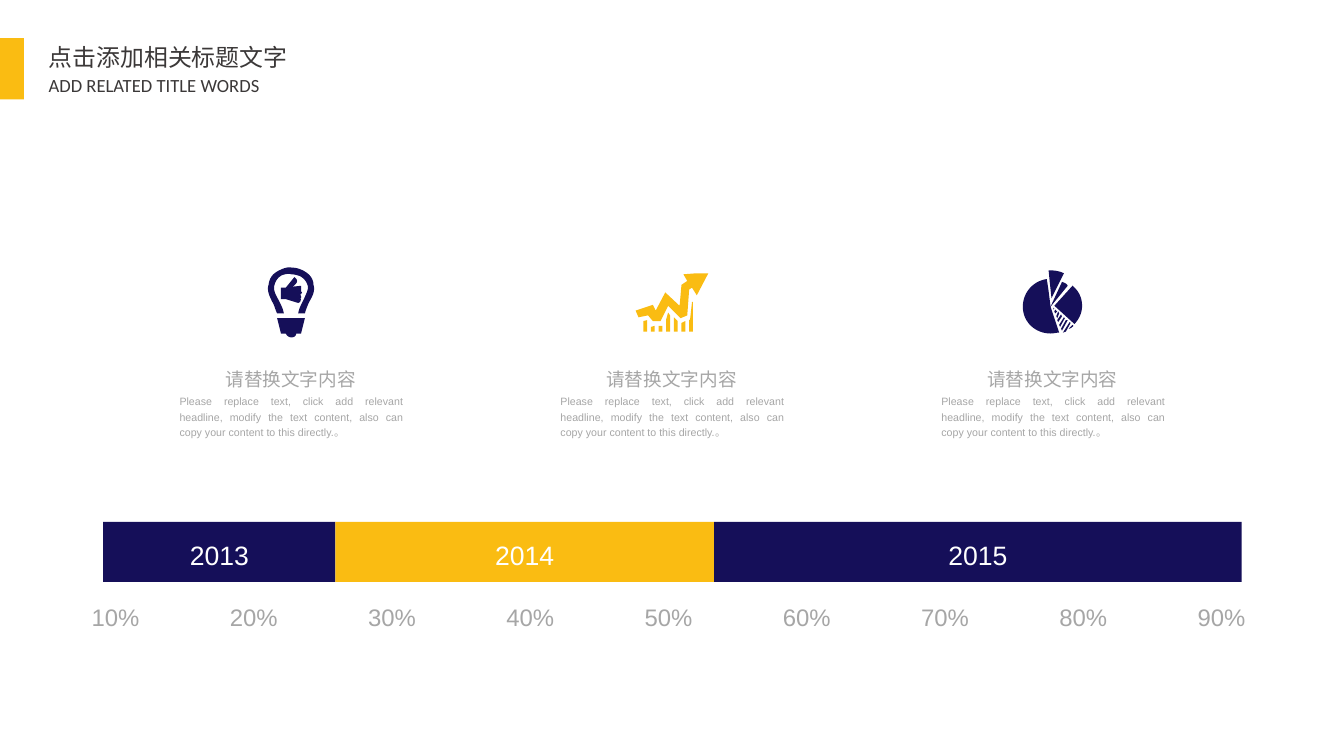
from lxml import etree
from pptx import Presentation
from pptx.dml.color import RGBColor
from pptx.enum.shapes import MSO_SHAPE
from pptx.enum.text import MSO_ANCHOR, MSO_AUTO_SIZE, PP_ALIGN
from pptx.oxml.ns import qn
from pptx.util import Inches, Pt

NAVY = RGBColor(0x15, 0x0F, 0x59)
YELLOW = RGBColor(0xFA, 0xBC, 0x12)
GRAY = RGBColor(0xA6, 0xA6, 0xA6)
DARK = RGBColor(0x3B, 0x38, 0x38)
WHITE = RGBColor(0xFF, 0xFF, 0xFF)
CJK_FONT = "Noto Sans CJK SC"
CURVE_STEPS = 12

HEADING = "请替换文字内容"
BODY = ("Please replace text, click add relevant headline, modify the text "
        "content, also can copy your content to this directly.。")

# Icon outlines in inches: a pair is a corner, six numbers are a Bézier curve.
PIE_SLICES = [
    [(11.22, 2.99), (11.28, 3.04, 11.32, 3.11, 11.32, 3.2),
     (11.32, 3.27, 11.29, 3.34, 11.24, 3.39), (11.03, 3.2)],
    [(11.11, 2.95), (10.99, 3.21), (10.99, 3.21, 10.97, 3.03, 10.95, 2.92),
     (10.81, 2.94, 10.7, 3.06, 10.7, 3.21), (10.7, 3.37, 10.83, 3.49, 10.99, 3.49),
     (11.02, 3.49, 11.06, 3.48, 11.08, 3.48), (10.99, 3.21), (11.17, 2.99),
     (11.16, 2.97, 11.14, 2.96, 11.11, 2.95)],
    [(11, 2.83), (10.97, 2.83), (10.98, 2.94, 11, 3.12, 11, 3.12), (11.13, 2.86),
     (11.09, 2.84, 11.04, 2.83, 11, 2.83)],
]
PIE_HATCH = [
    [(11.23, 3.41), (11.22, 3.42, 11.2, 3.44, 11.18, 3.44), (11.22, 3.4)],
    [(11.15, 3.47), (11.2, 3.38), (11.19, 3.37), (11.12, 3.48)],
    [(11.11, 3.46), (11.17, 3.35), (11.15, 3.35), (11.1, 3.44)],
    [(11.09, 3.42), (11.14, 3.33), (11.13, 3.32), (11.08, 3.4)],
    [(11.07, 3.37), (11.11, 3.31), (11.1, 3.29), (11.06, 3.35)],
    [(11.06, 3.33), (11.08, 3.28), (11.07, 3.26), (11.05, 3.31)],
    [(11.04, 3.28), (11.06, 3.26), (11.04, 3.24), (11.03, 3.26)],
    [(11.02, 3.24), (11.02, 3.22), (11.03, 3.23)],
]
GROWTH_ARROW = [
    (7.41, 2.86), (7.29, 3.09), (7.24, 3.01), (7.21, 3.03), (7.19, 3.3),
    (7.12, 3.33), (6.99, 3.2), (6.91, 3.36), (6.83, 3.36), (6.78, 3.3),
    (6.68, 3.32), (6.65, 3.25), (6.83, 3.19), (6.86, 3.25), (6.96, 3.06),
    (7.11, 3.2), (7.13, 2.98), (7.19, 2.94), (7.15, 2.87), (7.28, 2.86),
]
# Tops of the growth bars, from left to right of each bar
GROWTH_BAR_TOPS = [
    [(6.73, 3.36), (6.77, 3.35)],
    [(6.81, 3.42), (6.85, 3.41)],
    [(6.89, 3.41), (6.93, 3.41)],
    [(6.97, 3.34), (6.99, 3.27), (7.01, 3.3)],
    [(7.05, 3.32), (7.09, 3.36)],
    [(7.13, 3.38), (7.17, 3.36)],
    [(7.21, 3.35), (7.22, 3.34), (7.24, 3.16), (7.25, 3.16)],
]
GROWTH_BASE = 3.47
BULB = [
    [(2.9, 3.33), (3.19, 3.33), (3.15, 3.49), (3.1, 3.49),
     (3.1, 3.51, 3.08, 3.53, 3.05, 3.53), (3.02, 3.53, 3, 3.51, 2.99, 3.49),
     (2.94, 3.49)],
    [(2.9, 3.28), (2.97, 3.28), (2.96, 3.22, 2.93, 3.17, 2.91, 3.13),
     (2.88, 3.08, 2.86, 3.03, 2.87, 2.99), (2.88, 2.94, 2.91, 2.9, 2.95, 2.88),
     (2.98, 2.87, 3.01, 2.86, 3.05, 2.87), (3.08, 2.87, 3.11, 2.88, 3.14, 2.89),
     (3.18, 2.91, 3.21, 2.95, 3.22, 2.99), (3.23, 3.03, 3.2, 3.08, 3.18, 3.13),
     (3.16, 3.17, 3.13, 3.22, 3.12, 3.28), (3.19, 3.28),
     (3.2, 3.24, 3.22, 3.19, 3.24, 3.15), (3.27, 3.1, 3.3, 3.04, 3.28, 2.98),
     (3.28, 2.91, 3.23, 2.86, 3.17, 2.83), (3.13, 2.81, 3.09, 2.8, 3.05, 2.8),
     (3.01, 2.79, 2.96, 2.81, 2.92, 2.83), (2.86, 2.86, 2.82, 2.9, 2.81, 2.98),
     (2.79, 3.04, 2.82, 3.1, 2.85, 3.16), (2.87, 3.19, 2.88, 3.24, 2.9, 3.28)],
]
THUMB = [
    (3.15, 2.99), (3.15, 3.05), (3.16, 3.06), (3.15, 3.08), (3.14, 3.08),
    (3.15, 3.1), (3.15, 3.12), (3.14, 3.13), (3.15, 3.13), (3.14, 3.16),
    (3.12, 3.17), (2.99, 3.13), (2.94, 3.13), (2.94, 3.01), (2.99, 3.01),
    (3.08, 2.9), (3.14, 2.94, 3.09, 2.98, 3.06, 3),
]


def flatten(outline):
    """Turn an outline of corners and Bézier curves into a list of points."""
    points = []
    for item in outline:
        if len(item) == 2:
            points.append(item)
            continue
        controls = [points[-1], item[:2], item[2:4], item[4:]]
        for step in range(1, CURVE_STEPS + 1):
            t = step / CURVE_STEPS
            weights = ((1 - t) ** 3, 3 * t * (1 - t) ** 2, 3 * t * t * (1 - t), t ** 3)
            points.append(tuple(sum(w * c[axis] for w, c in zip(weights, controls))
                                for axis in (0, 1)))
    return [(Inches(x), Inches(y)) for x, y in points]


def paint(sp, color):
    sp.shadow.inherit = False
    sp.fill.solid()
    sp.fill.fore_color.rgb = color
    sp.line.fill.background()


def add_icon(slide, outlines, color):
    contours = [flatten(outline) for outline in outlines]
    builder = slide.shapes.build_freeform(*contours[0][0])
    for i, contour in enumerate(contours):
        if i:
            builder.move_to(*contour[0])
        builder.add_line_segments(contour[1:], close=True)
    paint(builder.convert_to_shape(), color)


def add_rect(slide, left, top, width, height, color):
    sp = slide.shapes.add_shape(MSO_SHAPE.RECTANGLE, Inches(left), Inches(top),
                                Inches(width), Inches(height))
    paint(sp, color)
    return sp


def write(sp, text, size, color=GRAY, font="Arial", align=PP_ALIGN.JUSTIFY, spacing=1.2):
    p = sp.text_frame.paragraphs[0]
    p.alignment = align
    p.line_spacing = spacing
    r = p.add_run()
    r.text = text
    r.font.size = Pt(size)
    r.font.name = font
    r.font.color.rgb = color
    etree.SubElement(r.font._element, qn("a:ea")).set("typeface", CJK_FONT)


def add_text(slide, left, top, width, height, text, size, wrap=False, **text_format):
    sp = slide.shapes.add_textbox(Inches(left), Inches(top), Inches(width), Inches(height))
    sp.text_frame.word_wrap = wrap
    sp.text_frame.auto_size = MSO_AUTO_SIZE.SHAPE_TO_FIT_TEXT
    write(sp, text, size, **text_format)


def add_year_bar(slide, left, width, year, color):
    sp = add_rect(slide, left, 5.46, width, 0.63, color)
    sp.text_frame.vertical_anchor = MSO_ANCHOR.MIDDLE
    write(sp, year, 20, color=WHITE, align=PP_ALIGN.CENTER)


def main():
    prs = Presentation()
    prs.slide_width, prs.slide_height = Inches(14.06), Inches(7.91)
    slide = prs.slides.add_slide(prs.slide_layouts[6])

    add_rect(slide, 0, 0.4, 0.25, 0.64, YELLOW)
    title_format = dict(color=DARK, align=PP_ALIGN.LEFT, spacing=1.0)
    add_text(slide, 0.41, 0.4, 2.74, 0.41, "点击添加相关标题文字", 18,
             font=CJK_FONT, **title_format)
    add_text(slide, 0.41, 0.72, 2.44, 0.34, "ADD RELATED TITLE WORDS", 14,
             font="Calibri", **title_format)

    for i in range(9):
        add_text(slide, 0.86 + i * 11.57 / 8, 6.2, 0.71, 0.43, f"{10 * (i + 1)}%", 18)

    left = 1.08
    for year, width, color in (("2013", 2.43, NAVY), ("2014", 3.96, YELLOW),
                               ("2015", 5.52, NAVY)):
        add_year_bar(slide, left, width, year, color)
        left += width

    growth_bars = [top + [(top[-1][0], GROWTH_BASE), (top[0][0], GROWTH_BASE)]
                   for top in GROWTH_BAR_TOPS]
    add_icon(slide, BULB + [THUMB], NAVY)
    add_icon(slide, [GROWTH_ARROW] + growth_bars, YELLOW)
    add_icon(slide, PIE_SLICES + PIE_HATCH, NAVY)

    for i in range(3):
        left = 1.78 + i * 7.97 / 2
        add_text(slide, left + 0.48, 3.75, 1.58, 0.36, HEADING, 14)
        add_text(slide, left, 4.06, 2.54, 0.59, BODY, 8, wrap=True)

    prs.save("out.pptx")


if __name__ == "__main__":
    main()
